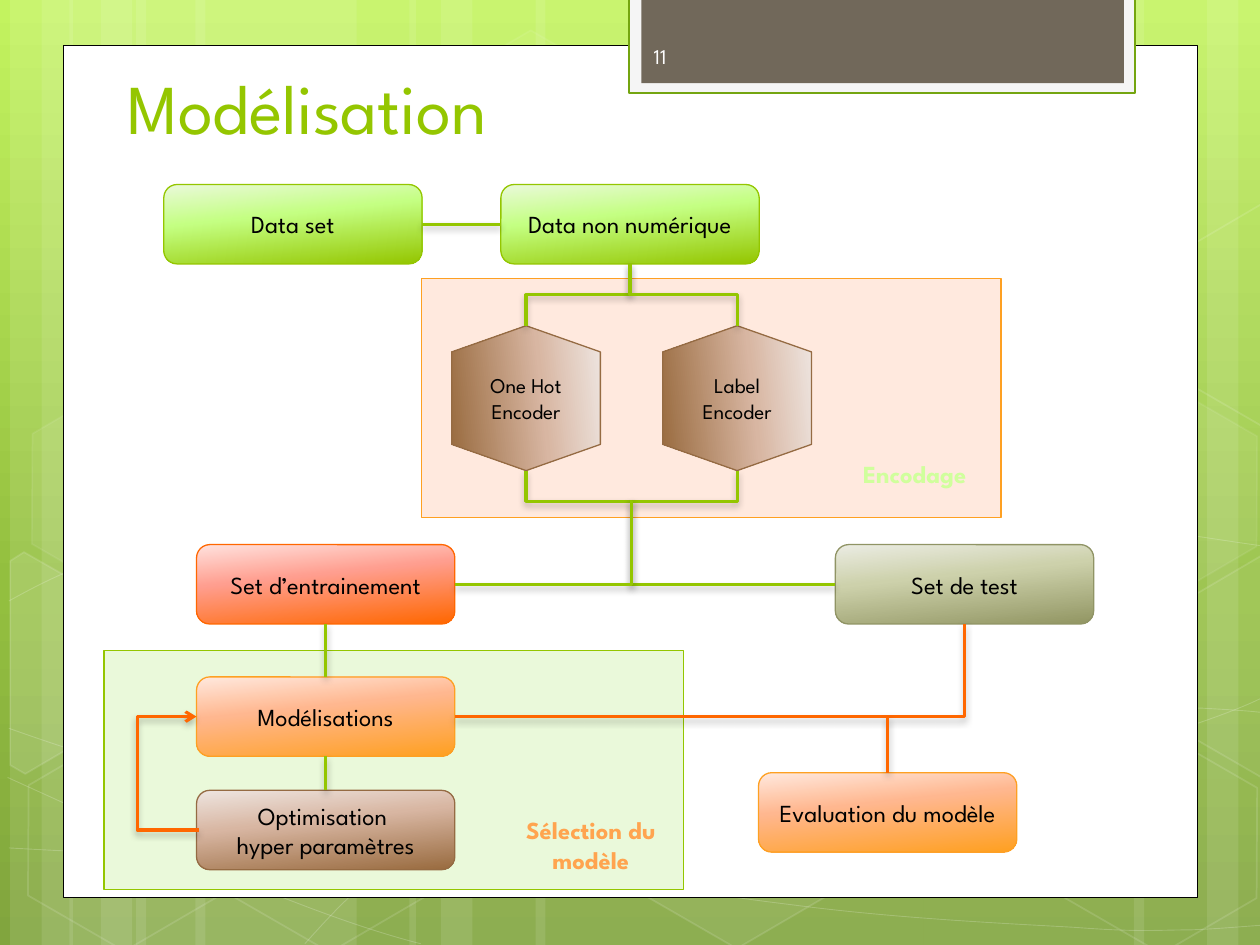
from dataclasses import dataclass
from math import cos, radians, sin
from lxml.etree import SubElement
from pptx import Presentation
from pptx.dml.color import RGBColor
from pptx.enum.shapes import MSO_CONNECTOR, MSO_SHAPE
from pptx.enum.text import MSO_ANCHOR, MSO_AUTO_SIZE, PP_ALIGN
from pptx.oxml.ns import qn
from pptx.util import Inches, Pt


@dataclass(frozen=True)
class Theme:
    font: str = "League Spartan"
    title: int = 40
    body: int = 14
    small: int = 12
    white: str = "FFFFFF"
    black: str = "000000"
    green: str = "94C600"
    red: str = "FF6700"
    amber: str = "FEA022"
    peach: str = "FFE9DE"
    mint: str = "EAF9DA"
    lime: str = "D0FF9C"
    orange: str = "FFA44F"
    back: tuple = ((0, "C3F35F"), (62, "93BF3F"), (100, "81A53E"))


T = Theme()
# Node styles: outline, then the three gradient colours
STYLES = {
    "green": ("94C600", "EAF9DA", "C4FF82", "94C600"),
    "red": ("FF6700", "FFE2DE", "FF9E8F", "FF6700"),
    "olive": ("909465", "EBECE3", "CDD1AB", "929663"),
    "brown": ("956B43", "EEE5E0", "D8B6A2", "996B3F"),
    "amber": ("FEA022", "FFE9DE", "FFB78F", "FFA021"),
}
# The grid has 100 columns and 75 rows, each a tenth of an inch
COLS, ROWS = 100, 75
NODE = (20.5, 6.3)


def grid(*vals):
    return [Inches(v / 10) for v in vals]


def blend(el, stops, angle):
    stop = el.find(".//" + qn("a:gsLst"))
    for old in list(stop):
        stop.remove(old)
    for pos, tint in stops:
        gs = SubElement(stop, qn("a:gs"), pos=str(pos * 1000))
        SubElement(gs, qn("a:srgbClr"), val=tint)
    stop.getparent().find(qn("a:lin")).set("ang", str(angle * 60000))


def fade(shape, where, share):
    tint = shape.element.spPr.find(where + "/".join(map(qn, ("a:solidFill", "a:srgbClr"))))
    SubElement(tint, qn("a:alpha"), val=str(share * 1000))


def paint(shape, fill=None, line=None, width=1, clear=None, dim=None):
    shape.shadow.inherit = False
    if fill:
        shape.fill.solid()
        shape.fill.fore_color.rgb = RGBColor.from_string(fill)
    else:
        shape.fill.background()
    if line:
        shape.line.color.rgb = RGBColor.from_string(line)
        shape.line.width = Pt(width)
    else:
        shape.line.fill.background()
    if fill and clear:
        fade(shape, "", clear)
    if line and dim:
        fade(shape, qn("a:ln") + "/", dim)
    return shape


def block(slide, box, kind=MSO_SHAPE.RECTANGLE, **look):
    return paint(slide.shapes.add_shape(kind, *grid(*box)), **look)


def write(shape, text, size, tint, align=PP_ALIGN.CENTER, anchor=MSO_ANCHOR.MIDDLE, bold=False):
    frame = shape.text_frame
    frame.text, frame.word_wrap = text, True
    frame.vertical_anchor = anchor
    for para in frame.paragraphs:
        para.alignment = align
        for run in para.runs:
            run.font.name, run.font.size, run.font.bold = T.font, Pt(size), bold
            run.font.color.rgb = RGBColor.from_string(tint)


def trace(slide, pts, close=False, **look):
    pts = [grid(*p) for p in pts]
    draft = slide.shapes.build_freeform(*pts[0])
    draft.add_line_segments(pts[1:], close=close)
    return paint(draft.convert_to_shape(), line=T.white, **look)


def curve(slide, nums, **look):
    """Draw a chain of cubic curves given as a flat list of numbers."""
    shape = trace(slide, list(zip(nums[::2], nums[1::2])), **look)
    legs = list(shape.element.spPr.iter(qn("a:lnTo")))
    for i, leg in enumerate(legs):
        if i % 3 == 0:
            bow = SubElement(leg.getparent(), qn("a:cubicBezTo"))
        bow.append(leg[0])
        leg.getparent().remove(leg)


def shard(slide, box, pts, **look):
    """Draw a cut hexagon, turned by 30 degrees about the middle of its box."""
    x, y, w, h = box
    cx, cy, c, s = x + w / 2, y + h / 2, cos(radians(30)), sin(radians(30))
    flat = [(cx + (a - cx) * c + (b - cy) * s, cy + (b - cy) * c - (a - cx) * s) for a, b in pts]
    trace(slide, flat, True, **look).rotation = 30


def node(slide, x, y, text, style, hexa=False):
    """Draw one step of the flow and return its visible box."""
    w, h = (11.5, 11.8) if hexa else NODE
    kind = MSO_SHAPE.HEXAGON if hexa else MSO_SHAPE.ROUNDED_RECTANGLE
    line, *tints = STYLES[style]
    shape = block(slide, (x, y, w, h), kind, line=line, width=0.75)
    shape.fill.gradient()
    blend(shape.element.spPr, zip((0, 40, 100), tints), 84)
    write(shape, text, T.small if hexa else T.body, T.black)
    if hexa:
        shape.adjustments[0], shape.rotation = 0.181, 90
        shape.text_frame._txBody.bodyPr.set("vert", "vert270")
        return x + (w - h) / 2, y + (h - w) / 2, h, w
    return x, y, w, h


def side(box, name):
    x, y, w, h = box
    a, b = {"top": (0.5, 0), "foot": (0.5, 1), "left": (0, 0.5), "right": (1, 0.5)}[name]
    return x + a * w, y + b * h


def link(slide, start, end, tint=T.green, bend=None, down=False, turn=None, arrow=False):
    """Join two points; bend is 2 or 3 legs, and down starts vertically."""
    (x1, y1), (x2, y2) = start, end
    if down:
        cx, cy, dx, dy = (x1 + x2) / 2, (y1 + y2) / 2, (x2 - x1) / 2, (y2 - y1) / 2
        x1, y1, x2, y2 = cx - dy, cy + dx, cx + dy, cy - dx
    kind = MSO_CONNECTOR.ELBOW if bend else MSO_CONNECTOR.STRAIGHT
    wire = slide.shapes.add_connector(kind, *grid(x1, y1, x2, y2))
    wire.line.color.rgb, wire.line.width = RGBColor.from_string(tint), Pt(1.75)
    props = wire.element.spPr
    geom = props.find(qn("a:prstGeom"))
    if bend:
        geom.set("prst", f"bentConnector{bend}")
    if down:
        props.find(qn("a:xfrm")).set("rot", "5400000")
    if turn is not None:
        SubElement(geom.find(qn("a:avLst")), qn("a:gd"), name="adj1", fmla=f"val {round(turn * 100000)}")
    if arrow:
        SubElement(props.find(qn("a:ln")), qn("a:tailEnd"), type="arrow")
    cast = SubElement(SubElement(props, qn("a:effectLst")), qn("a:outerShdw"),
                      blurRad=str(Pt(4)), dist=str(Pt(2)), dir="5400000", rotWithShape="0")
    SubElement(SubElement(cast, qn("a:srgbClr"), val=T.black), qn("a:alpha"), val="28000")


def backdrop(slide):
    slide.background.fill.gradient()
    blend(slide.element, T.back, 90)
    # Vertical bands
    for x, w in ((10.8, 17.5), (0.8, 5), (3.3, 8.3), (15.5, 17.5), (5.5, 5), (8, 8.3), (73.3, 17.5),
                 (95.8, 5), (90, 8.3), (42.5, 30.8), (32.5, 5), (35, 8.3)):
        block(slide, (x, 0, w, ROWS), fill=T.white, clear=10)
    # Sweeping curves
    for nums in (
        (.7, 67.3, 6.1, 67.6, 11.5, 67.9, 19, 67.8, 26.5, 67.7, 35.8, 67.5, 45.8, 66.5,
         55.8, 65.5, 70, 63.6, 79.2, 61.7, 88.3, 59.8, 97.7, 56.8, 100.7, 55.1),
        (.7, 47.7, 3.6, 46.1, 6.5, 44.6, 12.1, 43.1, 17.8, 41.6, 25.9, 39.4, 34.7, 38.7,
         43.6, 38, 54.4, 37.9, 65.4, 38.7, 76.4, 39.5, 94.7, 42.6, 100.7, 43.4),
        (.6, 61.7, 12.7, 67.2, 24.7, 72.7, 33.4, 74.9),
        (.7, 57.8, 3.8, 58.9, 7, 60, 12.8, 61.6, 18.6, 63.1, 27.3, 65.6, 35.7, 67.3,
         44, 69, 54.5, 70.8, 62.8, 71.8, 71.1, 72.9, 80, 73.3, 85.3, 73.6,
         90.5, 74, 91.9, 73.8, 94.5, 73.8, 97.1, 73.7, 98.9, 73.5, 100.7, 73.4),
        (24.2, 74.9, 26, 72.9, 27.8, 70.9, 30.2, 69.1, 32.6, 67.3, 36, 65.3, 38.8, 63.9,
         41.6, 62.5, 43.3, 61.9, 47, 60.9, 50.6, 59.9, 57.3, 58.5, 60.8, 57.8,
         64.4, 57.1, 64.9, 57.1, 68, 56.9, 71.1, 56.6, 76, 56.3, 79.4, 56.2,
         82.9, 56.1, 88.6, 56.2, 88.6, 56.2, 90.8, 56.2, 93, 56.2, 95.3, 56.2,
         97.1, 56.3, 98.8, 56.4, 99.7, 56.5, 100.6, 56.6, 100.3, 56.5, 100.6, 56.6),
    ):
        curve(slide, nums, width=0.5, dim=20)
    # Whole hexagons, then those cut by the edges
    for x, y, clear, dim in ((33.4, 3.6, 4, 8), (49.7, 58.9, 6, 12), (1.1, 59.1, 0, 12),
                             (1.4, 31.2, 7, 8), (17.4, 59.2, 0, 12), (75.3, 45.3, 10, 12),
                             (83.4, 59.3, 0, 12), (83.4, 31.4, 7, 8)):
        cell = block(slide, (x, y, 17.5, 15.2), MSO_SHAPE.HEXAGON, fill=T.white if clear else None,
                     line=T.white, clear=clear, dim=dim)
        cell.adjustments[0], cell.rotation = 0.285, 30
    shard(slide, (-3.3, 45.9, 13.8, 15.2), ((.8, 44.5), (1.9, 43.8), (9.6, 48.2), (9.5, 57), (2, 61.4),
                                            (.8, 60.7)), fill=T.white, clear=10, dim=12)
    for top, clear in ((44.4, 4), (16.5, 0)):
        pts = ((92.6, 4.1), (100.1, -.3), (100.9, .2), (100.9, 16.9), (100.2, 17.3), (92.6, 12.9))
        shard(slide, (91.7, top, 13.6, 15.2), [(x, top + y) for x, y in pts],
              fill=T.white if clear else None, clear=clear, dim=12)


def header(slide, box):
    # Sheet, page tab, title and page number
    x, y, w, h = box
    block(slide, box, fill=T.white, line=T.black, width=0.5)
    block(slide, (x + 44.85, -.2, 40.2, 7.6), fill="F5F5F5", line="74A510", width=1.25)
    block(slide, (x + 45.85, -.2, 38.3, 6.8), fill="71685A")
    title = slide.shapes.title
    title.left, title.top, title.width, title.height = grid(x + 4.05, -.2, 76.8, 12.5)
    write(title, "Modélisation", T.title, T.green, PP_ALIGN.LEFT, MSO_ANCHOR.BOTTOM)
    title.text_frame.auto_size = MSO_AUTO_SIZE.NONE
    slide.shapes.element.append(title.element)
    page = slide.shapes.add_textbox(*grid(x + 45.85, 2.45, 14.6, 4))
    write(page, "11", T.small, "FEFEFE", PP_ALIGN.LEFT)


def zone(slide, box, fill, line, label, tint, lx, ly):
    x, y, _, _ = box
    block(slide, box, fill=fill, line=line, width=0.75)
    tag = block(slide, (x + lx, y + ly, 13.7, 5.4), MSO_SHAPE.ROUNDED_RECTANGLE)
    write(tag, label, T.body, tint, bold=True)


def encode(slide, box):
    x, y, _, _ = box
    zone(slide, box, T.peach, T.amber, "Encodage", T.lime, 32.3, 12.8)
    data = node(slide, x - 20.45, y - 7.45, "Data set", "green")
    text = node(slide, x + 6.3, y - 7.45, "Data non numérique", "green")
    link(slide, side(text, "left"), side(data, "right"))
    join = (x + 16.55, y + 17.7)
    for dx, name in ((2.55, "One Hot Encoder"), (19.3, "Label Encoder")):
        cell = node(slide, x + dx, y + 3.6, name, "brown", True)
        link(slide, side(text, "foot"), side(cell, "top"), bend=3, down=True)
        link(slide, side(cell, "foot"), join, bend=2, down=True)
    return join


def select(slide, box, join):
    x, y, _, _ = box
    zone(slide, box, T.mint, T.green, "Sélection du modèle", T.orange, 31.8, 12.7)
    train = node(slide, x + 7.35, y - 8.4, "Set d’entrainement", "red")
    test = node(slide, x + 58.05, y - 8.4, "Set de test", "olive")
    model = node(slide, x + 7.35, y + 2.1, "Modélisations", "amber")
    tune = node(slide, x + 7.35, y + 11.1, "Optimisation \nhyper paramètres", "brown")
    rate = node(slide, x + 51.95, y + 9.7, "Evaluation du modèle", "amber")
    # Split into both sets, then down the training side
    for end, turn in ((side(test, "left"), 0.006), (side(train, "right"), -0.01)):
        link(slide, join, end, bend=3, turn=turn)
    for a, b in ((train, model), (model, tune)):
        link(slide, side(a, "foot"), side(b, "top"))
    # Scoring and tuning loop
    link(slide, side(model, "right"), side(test, "foot"), T.red, bend=2)
    top = side(rate, "top")
    link(slide, top, (top[0], side(model, "right")[1]), T.red)
    tx, ty = side(tune, "left")
    link(slide, (tx + .2, ty), side(model, "left"), T.red, bend=3, turn=24.5, arrow=True)


def main():
    deck = Presentation()
    deck.slide_width, deck.slide_height = grid(COLS, ROWS)
    slide = deck.slides.add_slide(deck.slide_layouts[5])
    backdrop(slide)
    header(slide, (5.05, 3.6, 89.95, 67.65))
    join = encode(slide, (33.45, 22.1, 46, 19))
    select(slide, (8.25, 51.63, 46, 19), join)
    deck.save("out.pptx")


if __name__ == "__main__":
    main()
